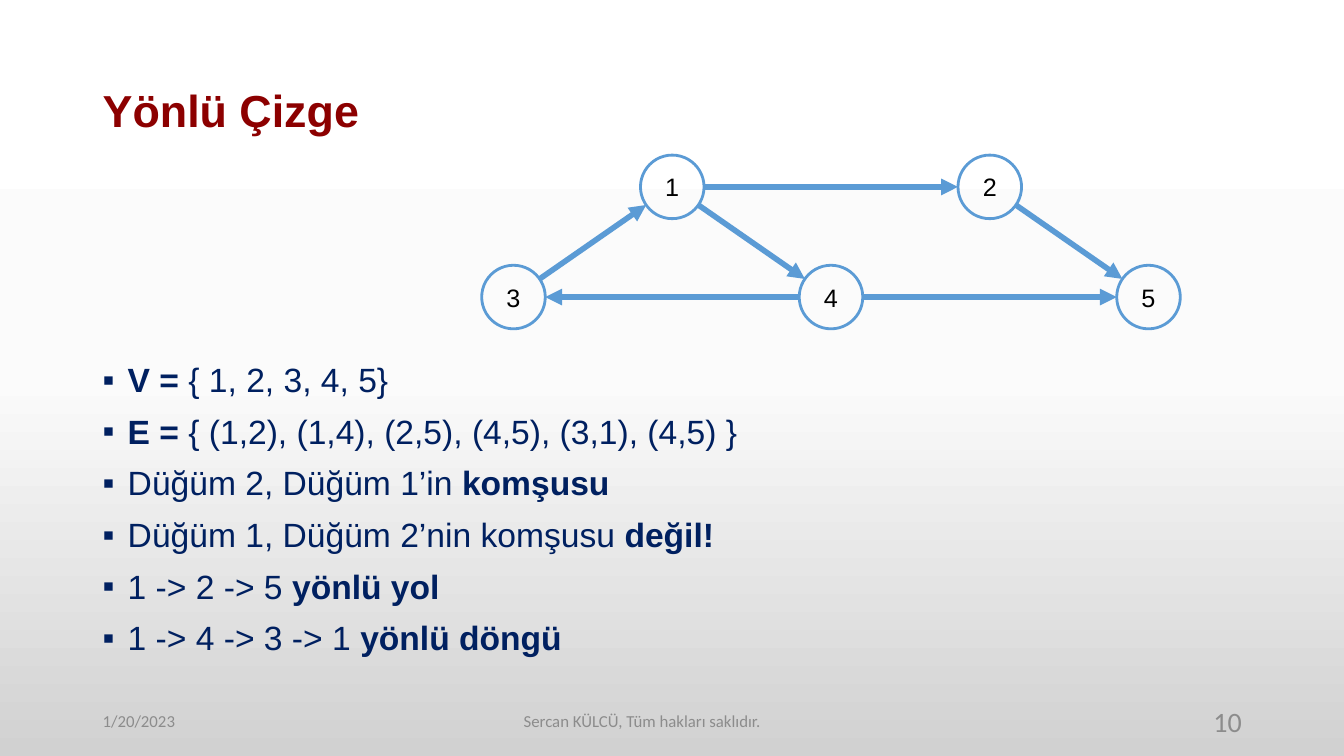
from copy import deepcopy
from dataclasses import dataclass
from math import hypot

from lxml.etree import SubElement
from pptx import Presentation
from pptx.dml.color import RGBColor
from pptx.enum.shapes import MSO_CONNECTOR, MSO_SHAPE
from pptx.enum.text import MSO_ANCHOR, PP_ALIGN
from pptx.oxml.ns import qn
from pptx.util import Pt


@dataclass(frozen=True)
class Theme:
    title: str = "8C0000"
    body: str = "002060"
    footer: str = "8C8C8C"
    graph: str = "5B9BD5"
    label: str = "000000"
    background: tuple = ((0, "FFFFFF"), (0.5, "FBFBFB"), (1, "D1D1D1"))
    text_font: str = "Arial"
    footer_font: str = "Calibri"
    title_size: int = 32
    body_size: int = 24
    label_size: int = 18
    footer_size: int = 12
    number_size: int = 20


THEME = Theme()
MARGIN = 66.2
CONTENT_WIDTH = 828

# Graph layout: node centres and directed edges
RADIUS = 22.7
LEFT, STEP = 366.8, 113.4
UPPER, LOWER = 133.5, 212.2
NODES = {
    1: (LEFT + STEP, UPPER),
    2: (LEFT + 3 * STEP, UPPER),
    3: (LEFT, LOWER),
    4: (LEFT + 2 * STEP, LOWER),
    5: (LEFT + 4 * STEP, LOWER),
}
EDGES = [(1, 4), (1, 2), (2, 5), (4, 3), (4, 5), (3, 1)]

# Each bullet is a list of (text, bold) spans
BULLETS = [
    [("V = ", True), ("{ 1, 2, 3, 4, 5}", False)],
    [("E =", True), (" { (1,2), (1,4), (2,5), (4,5), (3,1), (4,5) }", False)],
    [("Düğüm 2, Düğüm 1’in ", False), ("komşusu", True)],
    [("Düğüm 1, Düğüm 2’nin komşusu ", False), ("değil!", True)],
    [("1 -> 2 -> 5 ", False), ("yönlü yol", True)],
    [("1 -> 4 -> 3 -> 1 ", False), ("yönlü döngü", True)],
]


def style(font, name, size, color, bold=False):
    font.name = name
    font.size = Pt(size)
    font.color.rgb = RGBColor.from_string(color)
    font.bold = bold


def paint_background(page):
    fill = page.background.fill
    fill.gradient()
    first_stop = page.element.find(".//" + qn("a:gs"))
    first_stop.addnext(deepcopy(first_stop))
    for stop, (position, color) in zip(fill.gradient_stops, THEME.background):
        stop.position = position
        stop.color.rgb = RGBColor.from_string(color)
    fill.gradient_angle = 270


def set_title(page, text):
    title = page.shapes.title
    title.left, title.top = Pt(MARGIN), Pt(28.8)
    title.width, title.height = Pt(CONTENT_WIDTH), Pt(104.4)
    title.text_frame.text = text
    title.text_frame.vertical_anchor = MSO_ANCHOR.MIDDLE
    para = title.text_frame.paragraphs[0]
    para.alignment = PP_ALIGN.LEFT
    para.line_spacing = 0.9
    style(para.runs[0].font, THEME.text_font, THEME.title_size, THEME.title, True)


def add_bullet(para):
    properties = para._p.get_or_add_pPr()
    properties.set("marL", str(Pt(18)))
    properties.set("indent", str(-Pt(18)))
    SubElement(properties, qn("a:buFont"), typeface=THEME.text_font)
    SubElement(properties, qn("a:buChar"), char="▪")


def add_bullet_list(page, bullets, top, height):
    box = page.shapes.add_textbox(Pt(MARGIN), Pt(top), Pt(CONTENT_WIDTH), Pt(height))
    frame = box.text_frame
    frame.word_wrap = True
    for index, spans in enumerate(bullets):
        para = frame.add_paragraph() if index else frame.paragraphs[0]
        add_bullet(para)
        para.alignment = PP_ALIGN.JUSTIFY
        para.line_spacing = 0.9
        para.space_before = Pt(11 if index else 0)
        for text, bold in spans:
            span = para.add_run()
            span.text = text
            style(span.font, THEME.text_font, THEME.body_size, THEME.body, bold)


def add_footer(page, text, left, width, alignment, size):
    box = page.shapes.add_textbox(Pt(left), Pt(500.5), Pt(width), Pt(28.8))
    frame = box.text_frame
    frame.word_wrap = True
    frame.vertical_anchor = MSO_ANCHOR.MIDDLE
    frame.text = text
    para = frame.paragraphs[0]
    para.alignment = alignment
    style(para.runs[0].font, THEME.footer_font, size, THEME.footer)


def add_edge(group, start, end):
    # Trim the line between the two centres to the circles' outlines
    (x1, y1), (x2, y2) = start, end
    distance = hypot(x2 - x1, y2 - y1)
    dx, dy = RADIUS * (x2 - x1) / distance, RADIUS * (y2 - y1) / distance
    edge = group.shapes.add_connector(
        MSO_CONNECTOR.STRAIGHT, Pt(x1 + dx), Pt(y1 + dy), Pt(x2 - dx), Pt(y2 - dy))
    edge.line.color.rgb = RGBColor.from_string(THEME.graph)
    edge.line.width = Pt(4)
    SubElement(edge.line._get_or_add_ln(), qn("a:tailEnd"), type="triangle")
    SubElement(edge._element.spPr, qn("a:effectLst"))


def add_node(group, number, center):
    x, y = center
    node = group.shapes.add_shape(
        MSO_SHAPE.OVAL, Pt(x - RADIUS), Pt(y - RADIUS), Pt(2 * RADIUS), Pt(2 * RADIUS))
    node.shadow.inherit = False
    node.fill.background()
    node.line.color.rgb = RGBColor.from_string(THEME.graph)
    node.line.width = Pt(2)
    frame = node.text_frame
    frame.word_wrap = False
    frame.vertical_anchor = MSO_ANCHOR.MIDDLE
    frame.text = str(number)
    para = frame.paragraphs[0]
    para.alignment = PP_ALIGN.CENTER
    style(para.runs[0].font, THEME.text_font, THEME.label_size, THEME.label)


def add_graph(page):
    group = page.shapes.add_group_shape()
    for start, end in EDGES:
        add_edge(group, NODES[start], NODES[end])
    for number, center in NODES.items():
        add_node(group, number, center)


def main():
    deck = Presentation()
    deck.slide_width, deck.slide_height = Pt(960), Pt(540)
    page = deck.slides.add_slide(deck.slide_layouts[5])
    paint_background(page)

    # Title and bullet list
    set_title(page, "Yönlü Çizge")
    add_bullet_list(page, BULLETS, top=256, height=230.7)

    # Footer: date, rights and page number
    add_footer(page, "1/20/2023", MARGIN, 216, PP_ALIGN.LEFT, THEME.footer_size)
    add_footer(page, "Sercan KÜLCÜ, Tüm hakları saklıdır.", 185.8, 545.8,
               PP_ALIGN.CENTER, THEME.footer_size)
    add_footer(page, "10", 678.2, 216, PP_ALIGN.RIGHT, THEME.number_size)

    # Directed graph
    add_graph(page)
    deck.save("out.pptx")


if __name__ == "__main__":
    main()
